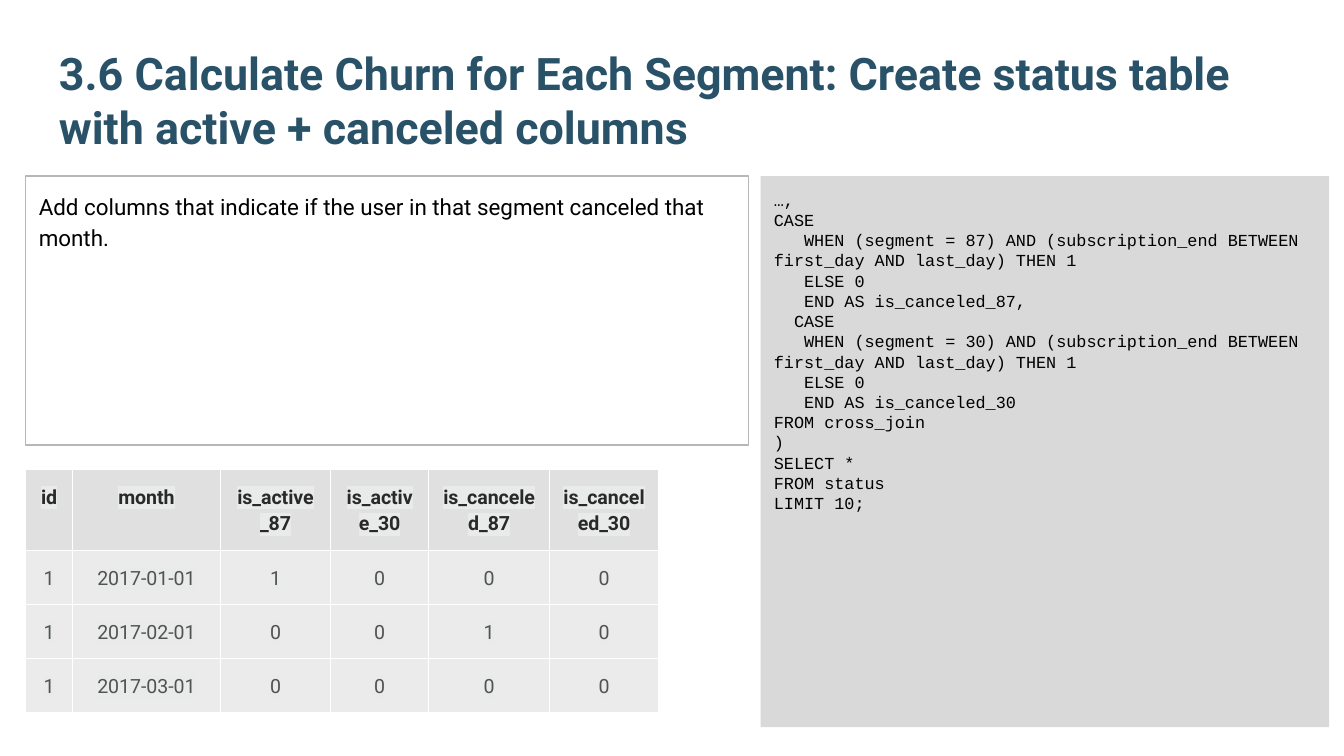
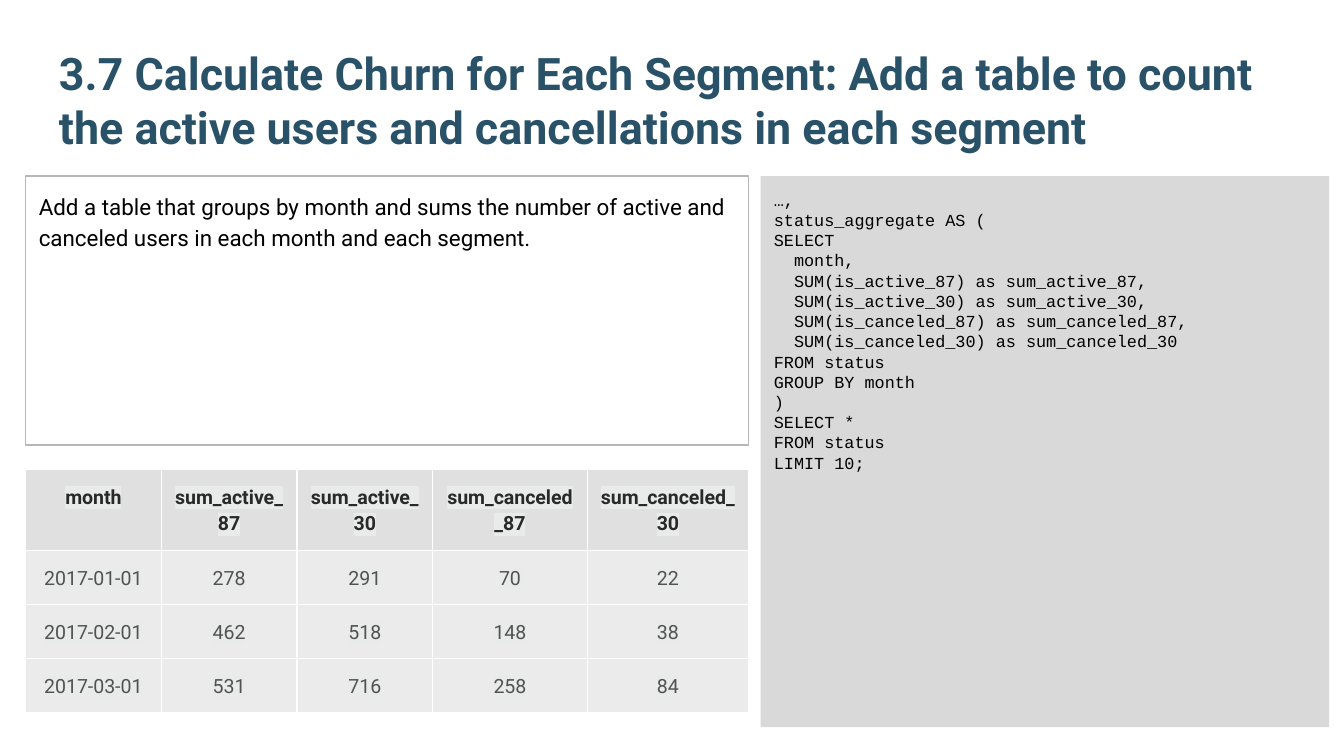
from dataclasses import dataclass

from lxml.etree import SubElement
from pptx import Presentation
from pptx.dml.color import RGBColor
from pptx.enum.shapes import MSO_SHAPE as Shape
from pptx.enum.text import MSO_ANCHOR as Anchor, PP_ALIGN as Align
from pptx.oxml.ns import qn
from pptx.util import Inches, Pt

SLIDE_WIDTH = Inches(10)
SLIDE_HEIGHT = Inches(5.625)
COLUMN = SLIDE_WIDTH / 100
ROW = SLIDE_HEIGHT / 100
MARGIN = Inches(0.1)

TEXT_FONT = "Roboto"
CODE_FONT = "Courier New"
TITLE_COLOR = "295269"
TEXT_COLOR = "000000"
CODE_FILL = "D9D9D9"
NOTE_LINE = "B7B7B7"
HEADER_FILL, HEADER_COLOR = "E0E0E0", "292929"
BODY_FILL, BODY_COLOR = "EBEBEB", "525252"
HIGHLIGHT = "E9EAEA"
BORDER = "FFFFFF"

HEADER_ROWS, BODY_ROWS = 8.2, 6.6


@dataclass
class Box:
    left: float
    top: float
    width: float
    height: float

    def place(self):
        return (round(self.left * COLUMN), round(self.top * ROW),
                round(self.width * COLUMN), round(self.height * ROW))


TITLE_BOX = Box(3.4, 5.7, 93.2, 16.35)
CODE_BOX = Box(56.6, 23.3, 42.3, 72.9)
NOTE_BOX = Box(1.9, 23.3, 53.8, 35.6)
TABLE_BOX = Box(1.9, 62.1, 53.8, HEADER_ROWS + 3 * BODY_ROWS)


def color(hex_string):
    return RGBColor.from_string(hex_string)


def set_margins(target):
    target.margin_left = target.margin_right = MARGIN
    target.margin_top = target.margin_bottom = MARGIN


def style(paragraph, name, size, hex_string, bold=False, align=Align.LEFT, spacing=1.0):
    paragraph.alignment = align
    paragraph.line_spacing = spacing
    font = paragraph.font
    font.name, font.size, font.bold = name, Pt(size), bold
    font.color.rgb = color(hex_string)


def write(shape, lines, anchor, **text_style):
    frame = shape.text_frame
    frame.word_wrap = True
    frame.vertical_anchor = anchor
    set_margins(frame)
    frame.text = "\n".join(lines)
    for paragraph in frame.paragraphs:
        style(paragraph, **text_style)


def add_title(slide, box, title):
    shape = slide.shapes.add_textbox(*box.place())
    write(shape, [title], Anchor.BOTTOM, name=TEXT_FONT, size=24,
          hex_string=TITLE_COLOR, bold=True)


def add_panel(slide, box):
    shape = slide.shapes.add_shape(Shape.RECTANGLE, *box.place())
    shape.shadow.inherit = False
    return shape


def add_code(slide, box, code):
    panel = add_panel(slide, box)
    panel.fill.solid()
    panel.fill.fore_color.rgb = color(CODE_FILL)
    panel.line.fill.background()
    write(panel, code.strip("\n").split("\n"), Anchor.TOP, name=CODE_FONT, size=9,
          hex_string=TEXT_COLOR)


def add_note(slide, box, note):
    panel = add_panel(slide, box)
    panel.fill.background()
    panel.line.color.rgb = color(NOTE_LINE)
    panel.line.width = Pt(0.75)
    write(panel, [note], Anchor.TOP, name=TEXT_FONT, size=12, hex_string=TEXT_COLOR,
          spacing=1.15)


def add_solid(parent, tag, hex_string):
    SubElement(SubElement(parent, qn(tag)), qn("a:srgbClr"), val=hex_string)


def fill_cell(cell, text, fill, text_color, bold):
    properties = cell._tc.get_or_add_tcPr()
    for side in ("a:lnL", "a:lnR", "a:lnT", "a:lnB"):
        line = SubElement(properties, qn(side), w=str(Pt(0.75)))
        add_solid(line, "a:solidFill", BORDER)
    cell.fill.solid()
    cell.fill.fore_color.rgb = color(fill)
    set_margins(cell)
    cell.text = text
    paragraph = cell.text_frame.paragraphs[0]
    style(paragraph, TEXT_FONT, 10.5, text_color, bold, Align.CENTER, 1.15)
    add_solid(paragraph.runs[0]._r.get_or_add_rPr(), "a:highlight", HIGHLIGHT)


def add_result(slide, box, widths, rows):
    table_box = Box(box.left, box.top, sum(widths), box.height)
    table = slide.shapes.add_table(len(rows), len(widths), *table_box.place()).table
    table.horz_banding = False
    for column, width in zip(table.columns, widths):
        column.width = round(width * COLUMN)
    for index, values in enumerate(rows):
        header = index == 0
        table.rows[index].height = round((HEADER_ROWS if header else BODY_ROWS) * ROW)
        fill, text_color = (HEADER_FILL, HEADER_COLOR) if header else (BODY_FILL, BODY_COLOR)
        for cell, value in zip(table.rows[index].cells, values):
            fill_cell(cell, value, fill, text_color, header)


def add_query_slide(presentation, title, note, code, widths, rows):
    slide = presentation.slides.add_slide(presentation.slide_layouts[6])
    add_title(slide, TITLE_BOX, title)
    add_code(slide, CODE_BOX, code)
    add_note(slide, NOTE_BOX, note)
    add_result(slide, TABLE_BOX, widths, [row.split() for row in rows])


STATUS_CODE = """
…,
CASE
   WHEN (segment = 87) AND (subscription_end BETWEEN first_day AND last_day) THEN 1
   ELSE 0
   END AS is_canceled_87,
  CASE
   WHEN (segment = 30) AND (subscription_end BETWEEN first_day AND last_day) THEN 1
   ELSE 0
   END AS is_canceled_30
FROM cross_join
)
SELECT *
FROM status
LIMIT 10;
"""

AGGREGATE_CODE = """
…,
status_aggregate AS (
SELECT
  month,
  SUM(is_active_87) as sum_active_87,
  SUM(is_active_30) as sum_active_30,
  SUM(is_canceled_87) as sum_canceled_87,
  SUM(is_canceled_30) as sum_canceled_30
FROM status
GROUP BY month
)
SELECT *
FROM status
LIMIT 10;
"""


def main():
    presentation = Presentation()
    presentation.slide_width = SLIDE_WIDTH
    presentation.slide_height = SLIDE_HEIGHT
    add_query_slide(
        presentation,
        "3.6 Calculate Churn for Each Segment: Create status table "
        "with active + canceled columns",
        "Add columns that indicate if the user in that segment canceled that month.",
        STATUS_CODE,
        [3.5, 11, 8.2, 7.3, 9, 8.1],
        ["id month is_active_87 is_active_30 is_canceled_87 is_canceled_30",
         "1 2017-01-01 1 0 0 0",
         "1 2017-02-01 0 0 1 0",
         "1 2017-03-01 0 0 0 0"])
    add_query_slide(
        presentation,
        "3.7 Calculate Churn for Each Segment: Add a table to count "
        "the active users and cancellations in each segment",
        "Add a table that groups by month and sums the number of active and "
        "canceled users in each month and each segment.",
        AGGREGATE_CODE,
        [10.1, 10.1, 10.1, 11.5, 12],
        ["month sum_active_87 sum_active_30 sum_canceled_87 sum_canceled_30",
         "2017-01-01 278 291 70 22",
         "2017-02-01 462 518 148 38",
         "2017-03-01 531 716 258 84"])
    presentation.save("out.pptx")


if __name__ == "__main__":
    main()
